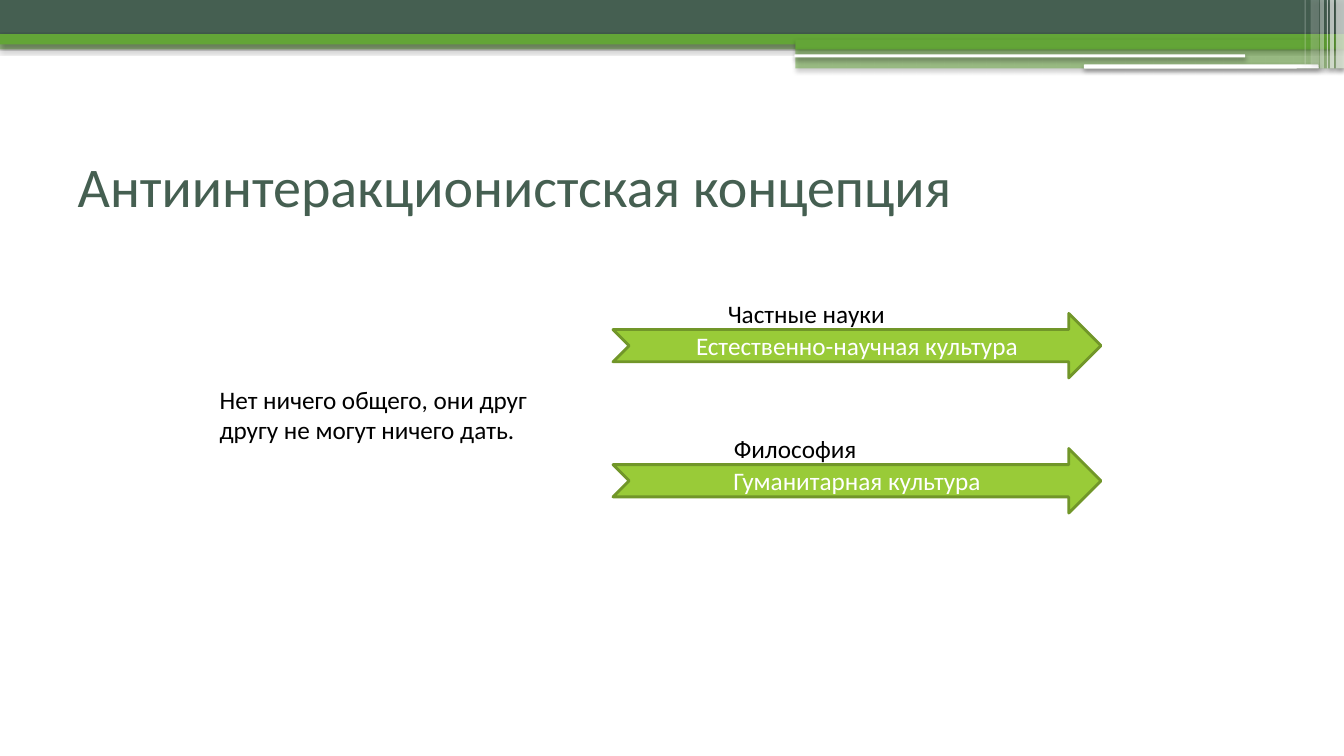
from lxml import etree
from pptx import Presentation
from pptx.dml.color import RGBColor
from pptx.enum.shapes import MSO_SHAPE
from pptx.enum.text import MSO_ANCHOR, PP_ALIGN
from pptx.oxml import parse_xml
from pptx.oxml.ns import nsdecls, qn
from pptx.util import Inches, Pt

RECT = MSO_SHAPE.RECTANGLE
ROUNDED = MSO_SHAPE.ROUNDED_RECTANGLE
ARROW = MSO_SHAPE.NOTCHED_RIGHT_ARROW
MIDDLE, TOP = MSO_ANCHOR.MIDDLE, MSO_ANCHOR.TOP
LEFT, CENTER = PP_ALIGN.LEFT, PP_ALIGN.CENTER

DARK, GREEN, LIME, OLIVE = "455F51", "63A537", "99CB38", "719629"
WHITE, BLACK = "FFFFFF", "000000"
SHADOW = (
    f'<a:effectLst {nsdecls("a")}>'
    '<a:outerShdw blurRad="40000" dist="20000" dir="5400000" rotWithShape="0">'
    '<a:srgbClr val="000000"><a:alpha val="38000"/></a:srgbClr>'
    '</a:outerShdw></a:effectLst>'
)


def rgb(value):
    return RGBColor.from_string(value)


def write(shape, text, size, color, anchor=TOP, align=LEFT):
    frame = shape.text_frame
    frame.word_wrap = True
    frame.vertical_anchor = anchor
    para = frame.paragraphs[0]
    para.alignment = align
    span = para.add_run()
    span.text = text
    span.font.name = "Calibri"
    span.font.size = Pt(size)
    span.font.color.rgb = rgb(color)


deck = Presentation()
deck.slide_width, deck.slide_height = Inches(13.33), Inches(7.5)
page = deck.slides.add_slide(deck.slide_layouts[5])

# Header bands, white rules and fading stripes: kind, place, colour, opacity
header = [
    (RECT, (0, 0.4, 13.33, 0.09), GREEN, 50),
    (RECT, (0, 0, 13.33, 0.34), DARK, 100),
    (RECT, (0, 0.34, 13.33, 0.1), GREEN, 100),
    (RECT, (7.89, 0.39, 5.44, 0.1), GREEN, 100),
    (RECT, (7.89, 0.48, 5.44, 0.2), GREEN, 50),
    (ROUNDED, (7.88, 0.54, 4.47, 0.03), WHITE, 100),
    (ROUNDED, (10.75, 0.64, 2.33, 0.04), WHITE, 100),
    (RECT, (13.25, 0, 0.08, 0.68), WHITE, 65),
    (RECT, (13.19, 0, 0.04, 0.68), WHITE, 65),
    (RECT, (13.16, 0, 0.01, 0.68), WHITE, 60),
    (RECT, (13.09, 0, 0.04, 0.68), WHITE, 40),
    (RECT, (13, 0, 0.08, 0.64), WHITE, 20),
    (RECT, (12.94, 0, 0.01, 0.64), WHITE, 30),
]
for kind, place, color, opacity in header:
    band = page.shapes.add_shape(kind, *map(Inches, place))
    band.fill.solid()
    band.fill.fore_color.rgb = rgb(color)
    band.line.fill.background()
    properties = band.fill._xPr
    if opacity < 100:
        tint = properties.find(qn("a:solidFill")).find(qn("a:srgbClr"))
        etree.SubElement(tint, qn("a:alpha")).set("val", str(opacity * 1000))
    properties.append(parse_xml(SHADOW))

# Title
title = page.shapes.title
title.left, title.top = Inches(0.67), Inches(1.25)
title.width, title.height = Inches(12), Inches(1.17)
write(title, "Антиинтеракционистская концепция", 40, DARK, MIDDLE)

# Two parallel cultures, each an arrow with its label above
cultures = [
    (3.11, "Естественно-научная культура", "Частные науки", 7.12, 2.17),
    (4.45, "Гуманитарная культура", "Философия", 7.18, 1.7),
]
for top, culture, field, label_left, label_width in cultures:
    arrow = page.shapes.add_shape(
        ARROW, Inches(6.08), Inches(top), Inches(4.84), Inches(0.64))
    arrow.shadow.inherit = False
    arrow.fill.solid()
    arrow.fill.fore_color.rgb = rgb(LIME)
    arrow.line.color.rgb = rgb(OLIVE)
    arrow.line.width = Pt(2)
    write(arrow, culture, 18, WHITE, MIDDLE, CENTER)

    label = page.shapes.add_textbox(
        Inches(label_left), Inches(top - 0.2), Inches(label_width), Inches(0.4))
    write(label, field, 18, BLACK)

# Remark on the left
remark = page.shapes.add_textbox(
    Inches(2.08), Inches(3.76), Inches(3.38), Inches(1))
write(remark, "Нет ничего общего, они друг другу не могут ничего дать.", 18, BLACK)

deck.save("out.pptx")
